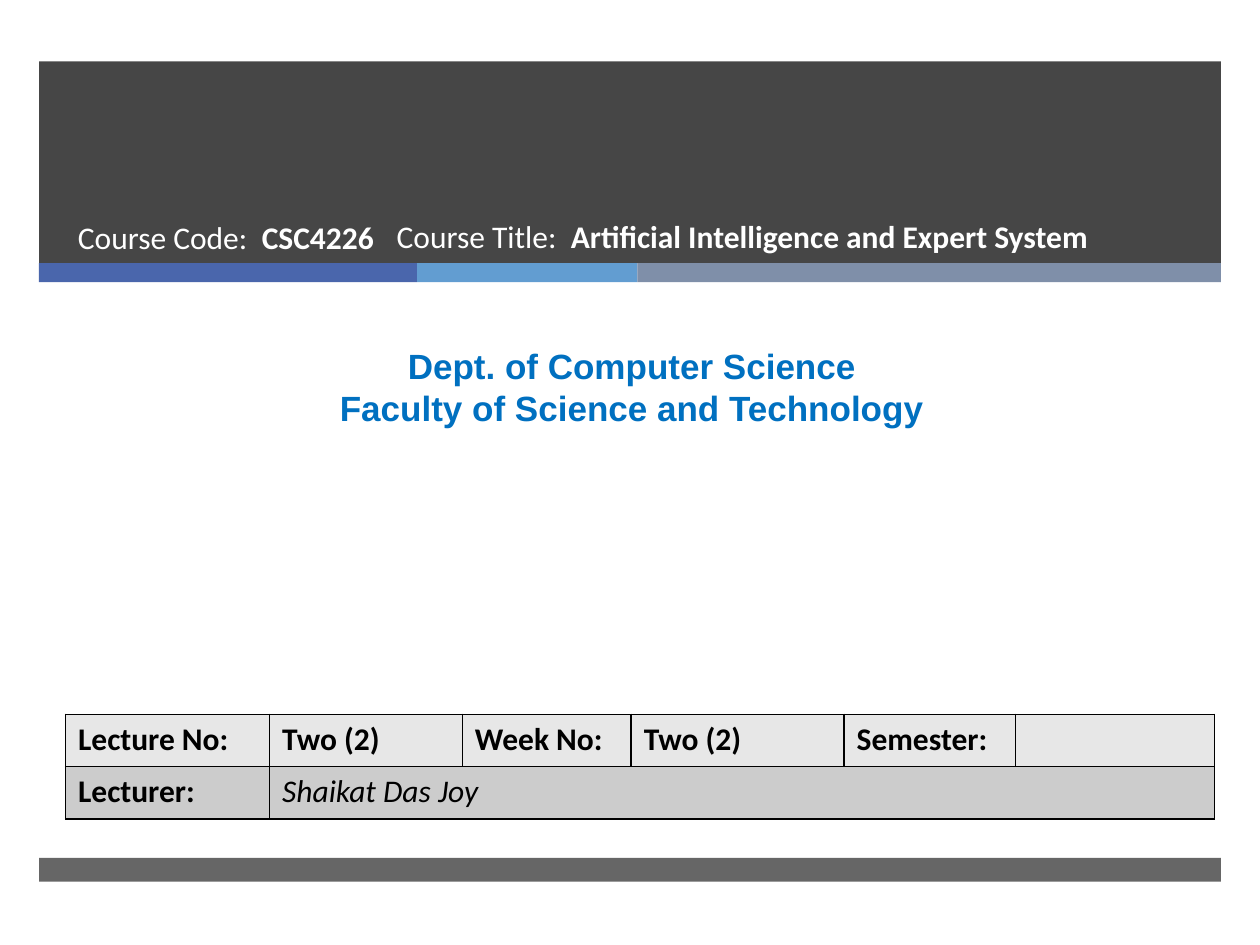
from lxml.etree import SubElement
from pptx import Presentation
from pptx.dml.color import RGBColor
from pptx.enum.shapes import MSO_SHAPE
from pptx.enum.text import PP_ALIGN
from pptx.oxml import parse_xml
from pptx.oxml.ns import nsdecls, qn
from pptx.util import Inches, Pt

WIDTH, HEIGHT = Inches(10), Inches(7.5)
MARGIN, BAND_WIDTH = 3.1, 93.8
ACCENTS = [("4A66AC", 30), ("629DD1", 17.5), ("7F8FA9", 46.3)]
COLUMN_WIDTHS = [16.2, 15.3, 13.4, 16.9, 13.6, 15.8]
ROW_HEIGHT = 5.53
ROWS = [
    ("E7E7E7", ["Lecture No:", "Two (2)", "Week No:", "Two (2)", "Semester:", ""]),
    ("CCCCCC", ["Lecturer:", "Shaikat Das Joy", "", "", "", ""]),
]
BODY = {"name": "Calibri", "size": Pt(18)}
BOLD = {**BODY, "bold": True}
ITALIC = {**BODY, "bold": False, "italic": True}
HEADING = {"name": "Arial", "size": Pt(20), "bold": True}


def color(value):
    return RGBColor.from_string(value)


def across(percent):
    return round(WIDTH * percent / 100)


def down(percent):
    return round(HEIGHT * percent / 100)


def area(left, top, width, height):
    return across(left), down(top), across(width), down(height)


def paint(target, value):
    target.fill.solid()
    target.fill.fore_color.rgb = color(value)


def add_band(slide, place, value, opacity=100):
    shape = slide.shapes.add_shape(MSO_SHAPE.RECTANGLE, *area(*place))
    shape.shadow.inherit = False
    shape.line.fill.background()
    paint(shape, value)
    if opacity < 100:
        fill_color = shape.fill._xPr.find(qn("a:solidFill"))[0]
        SubElement(fill_color, qn("a:alpha"), val=str(opacity * 1000))


def add_run(paragraph, text, value, formats):
    run = paragraph.add_run()
    run.text = text
    run.font.color.rgb = color(value)
    for name, setting in formats.items():
        setattr(run.font, name, setting)


def add_text(slide, place, lines, value, alignment=PP_ALIGN.LEFT):
    frame = slide.shapes.add_textbox(*area(*place)).text_frame
    frame.word_wrap = True
    for index, line in enumerate(lines):
        paragraph = frame.add_paragraph() if index else frame.paragraphs[0]
        paragraph.alignment = alignment
        for text, formats in line:
            add_run(paragraph, text, value, formats)


def add_borders(cell):
    properties = cell._tc.get_or_add_tcPr()
    for index, side in enumerate(("lnL", "lnR", "lnT", "lnB")):
        border = parse_xml(
            f'<a:{side} {nsdecls("a")} w="{Pt(1)}"><a:solidFill>'
            f'<a:srgbClr val="000000"/></a:solidFill></a:{side}>'
        )
        properties.insert(index, border)


def add_lecture_table(slide):
    place = area(5.2, 75.6, sum(COLUMN_WIDTHS), ROW_HEIGHT * len(ROWS))
    table = slide.shapes.add_table(len(ROWS), len(COLUMN_WIDTHS), *place).table
    for column, width in zip(table.columns, COLUMN_WIDTHS):
        column.width = across(width)
    for row_index, (fill, texts) in enumerate(ROWS):
        table.rows[row_index].height = down(ROW_HEIGHT)
        for column_index, text in enumerate(texts):
            cell = table.cell(row_index, column_index)
            paint(cell, fill)
            add_borders(cell)
            formats = ITALIC if (row_index, column_index) == (1, 1) else BOLD
            if text:
                add_run(cell.text_frame.paragraphs[0], text, "000000", formats)
            else:
                cell.text_frame.paragraphs[0].font.size = Pt(18)
    table.cell(1, 1).merge(table.cell(1, len(COLUMN_WIDTHS) - 1))


def main():
    presentation = Presentation()
    presentation.slide_width, presentation.slide_height = WIDTH, HEIGHT
    slide = presentation.slides.add_slide(presentation.slide_layouts[6])
    add_band(slide, (MARGIN, 6.5, BAND_WIDTH, 21.35), "262626", 85)
    left = MARGIN
    for value, width in ACCENTS:
        add_band(slide, (left, 27.85, width, 2), value)
        left += width
    add_band(slide, (MARGIN, 90.8, BAND_WIDTH, 2.5), "262626", 70)
    add_text(slide, (5.2, 22.4, 30.5, 7),
             [[("Course Code:  ", BODY), ("CSC4226", BOLD)]], "FFFFFF")
    add_text(slide, (0.8, 35.8, 98.7, 10.3),
             [[("Dept. of Computer Science", HEADING)],
              [("Faculty of Science and Technology", HEADING)]],
             "0070C0", PP_ALIGN.CENTER)
    add_lecture_table(slide)
    add_text(slide, (30.5, 22.3, 57.2, 7),
             [[("Course Title:  ", BODY),
               ("Artificial Intelligence and Expert System", BOLD)]], "FFFFFF")
    presentation.save("out.pptx")


if __name__ == "__main__":
    main()
